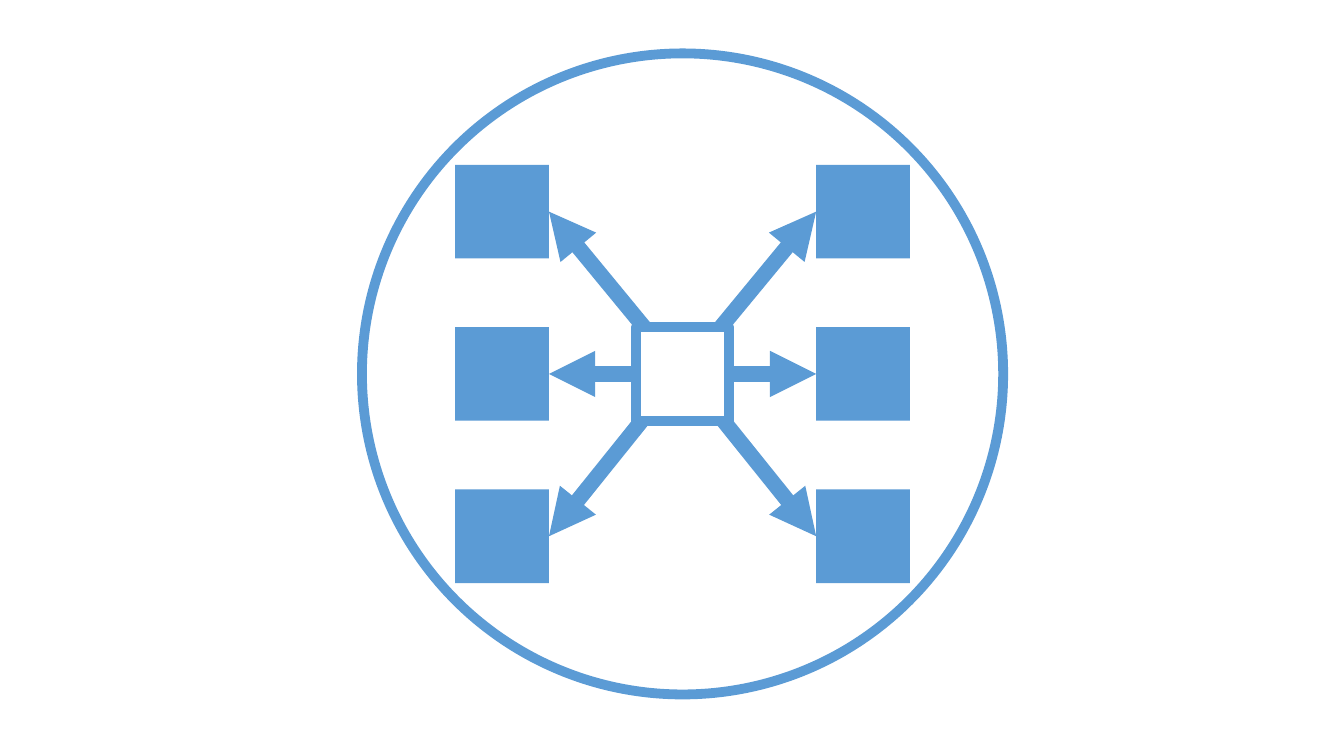
from pptx import Presentation
from pptx.dml.color import RGBColor
from pptx.enum.dml import MSO_LINE
from pptx.enum.shapes import MSO_CONNECTOR, MSO_SHAPE
from pptx.oxml.ns import qn
from pptx.util import Inches, Pt
from lxml import etree

RECT, OVAL = MSO_SHAPE.RECTANGLE, MSO_SHAPE.OVAL
STRAIGHT, SOLID = MSO_CONNECTOR.STRAIGHT, MSO_LINE.SOLID
COLORS = {"blue": "5B9BD5", "white": "FFFFFF"}


class Board:
    """Holds the slide and the style of its parts."""

    def __init__(self, slide):
        self.shapes = slide.shapes

    def color(self, name):
        return RGBColor.from_string(COLORS[name])

    def stroke(self, line, width):
        line.fill.solid()
        line.fill.fore_color.rgb = self.color("blue")
        style = {"width": Pt(width), "dash_style": SOLID}
        for key, value in style.items():
            setattr(line, key, value)

    def shape(self, kind, x, y, size, fill=None, width=None):
        """Add a square or circle centred on x, y."""
        box = [Inches(v) for v in (x - size / 2, y - size / 2, size, size)]
        shape = self.shapes.add_shape(kind, *box)
        shape.shadow.inherit = False
        if fill:
            shape.fill.solid()
            shape.fill.fore_color.rgb = self.color(fill)
        else:
            shape.fill.background()
        if width:
            self.stroke(shape.line, width)
        else:
            shape.line.fill.background()

    def arrow(self, start, end, width):
        ends = [Inches(v) for v in (*start, *end)]
        link = self.shapes.add_connector(STRAIGHT, *ends)
        self.stroke(link.line, width)
        line = link.line._get_or_add_ln()
        etree.SubElement(line, qn("a:tailEnd"), type="triangle")
        etree.SubElement(link._element.spPr, qn("a:effectLst"))


deck = Presentation()
deck.slide_width, deck.slide_height = Inches(13.33), Inches(7.5)
board = Board(deck.slides.add_slide(deck.slide_layouts[6]))

# Layout: a hub with three nodes on each side
HUB_X, HUB_Y = 6.77, 3.71
SIZE, REACH, PITCH = 0.93, 1.79, 1.61
# Arrow starts by row, for the left and right sides
STARTS = {
    -1: ((HUB_X, HUB_Y), (6.8, 3.67)),
    0: ((HUB_X, HUB_Y), (HUB_X, HUB_Y)),
    1: ((HUB_X, 3.67), (HUB_X, 3.67)),
}

# Nodes and the arrows that reach their inner edges
for row, starts in STARTS.items():
    for side, start in zip((-1, 1), starts):
        x, y = HUB_X + side * REACH, HUB_Y + row * PITCH
        board.shape(RECT, x, y, SIZE, fill="blue")
        board.arrow(start, (x - side * SIZE / 2, y), 11)

# Outer ring, then the hub over the arrow starts
board.shape(OVAL, HUB_X, HUB_Y, 6.36, width=7)
board.shape(RECT, HUB_X, HUB_Y, SIZE, fill="white", width=7)

deck.save("out.pptx")
